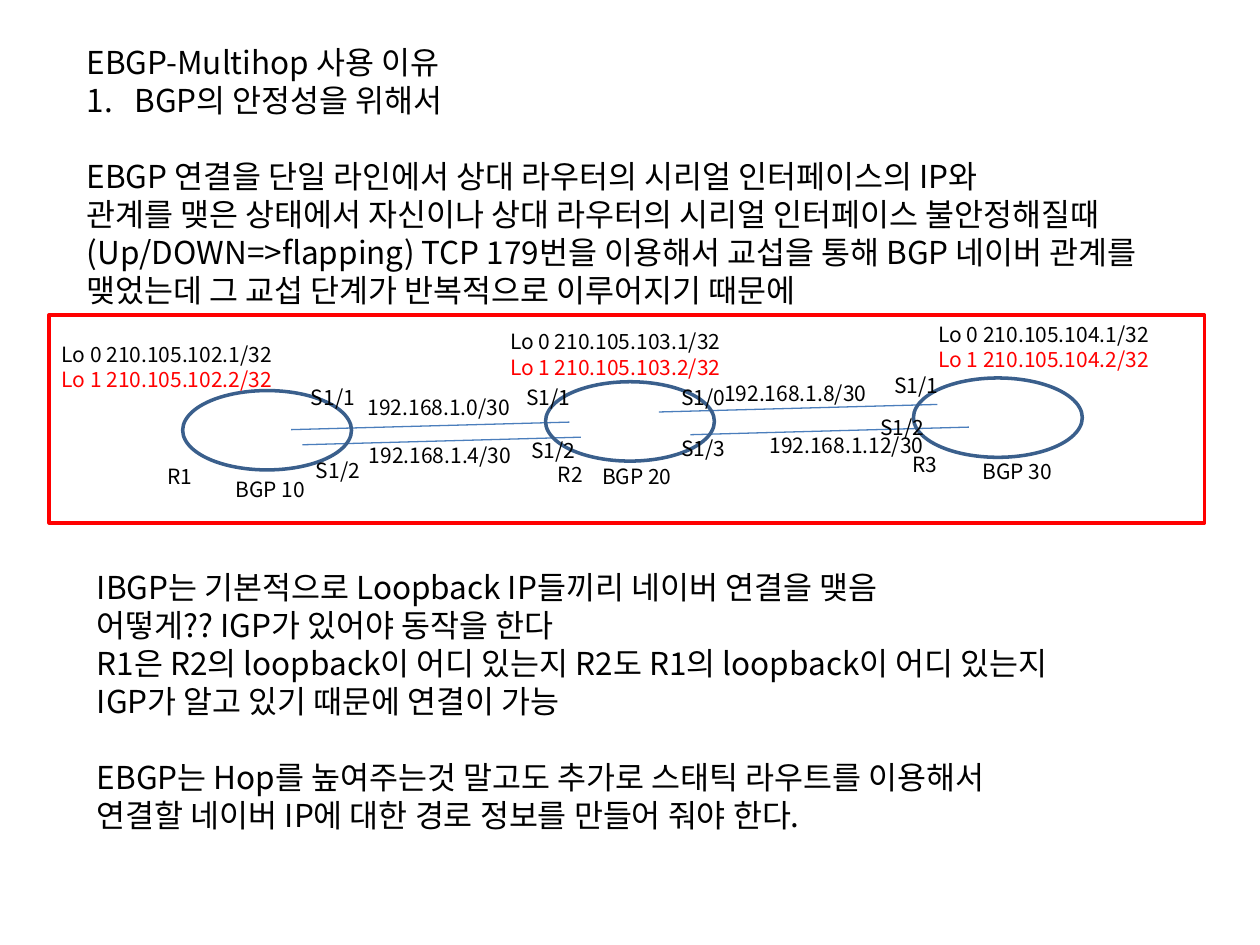
"""Build a slide on why EBGP multihop is used, with a three-router diagram."""
from lxml import etree
from pptx import Presentation
from pptx.dml.color import RGBColor
from pptx.enum.shapes import MSO_CONNECTOR, MSO_SHAPE
from pptx.enum.text import MSO_AUTO_SIZE
from pptx.oxml.ns import qn
from pptx.util import Inches, Pt

STRAIGHT = MSO_CONNECTOR.STRAIGHT
OVAL, RECTANGLE = MSO_SHAPE.OVAL, MSO_SHAPE.RECTANGLE
GROW = MSO_AUTO_SIZE.SHAPE_TO_FIT_TEXT

THEME = {
    "font": "Noto Sans CJK KR", "body": 18, "label": 12, "leading": 1.206,
    "text": "000000", "accent": "FF0000", "router": "3A5F8C", "link": "4B7EBC",
    "outline": 2, "link_width": 0.75,
}

REASON = [
    ["EBGP-Multihop 사용 이유", "BGP의 안정성을 위해서"],
    ["EBGP 연결을 단일 라인에서 상대 라우터의 시리얼 인터페이스의 IP와",
     "관계를 맺은 상태에서 자신이나 상대 라우터의 시리얼 인터페이스 불안정해질때"
     "(Up/DOWN=>flapping) TCP 179번을 이용해서 교섭을 통해 BGP 네이버 관계를 "
     "맺었는데 그 교섭 단계가 반복적으로 이루어지기 때문에"],
]
NEIGHBORS = [
    ["IBGP는 기본적으로 Loopback IP들끼리 네이버 연결을 맺음",
     "어떻게?? IGP가 있어야 동작을 한다",
     "R1은 R2의 loopback이 어디 있는지 R2도 R1의 loopback이 어디 있는지",
     "IGP가 알고 있기 때문에 연결이 가능"],
    ["EBGP는 Hop를 높여주는것 말고도 추가로 스태틱 라우트를 이용해서",
     "연결할 네이버 IP에 대한 경로 정보를 만들어 줘야 한다."],
]
ROUTERS = [
    {"oval": (1.45, 3.1), "name": ("R1", 1.23, 3.63), "system": ("BGP 10", 1.77, 3.73),
     "loopback": ("210.105.102", 0.39, 2.66)},
    {"oval": (4.33, 3.03), "name": ("R2", 4.33, 3.61), "system": ("BGP 20", 4.68, 3.63),
     "loopback": ("210.105.103", 3.95, 2.56)},
    {"oval": (7.25, 3), "name": ("R3", 7.14, 3.53), "system": ("BGP 30", 7.7, 3.59),
     "loopback": ("210.105.104", 7.35, 2.5)},
]
LINK_STARTS = [(2.4, 3.53), (2.31, 3.41), (5.48, 3.45), (5.23, 3.27)]
LINK_RUN, LINK_RISE = 2.21, 0.06
SUBNETS = [
    ("192.168.1.0/30", 2.75, 3.08), ("192.168.1.4/30", 2.76, 3.46),
    ("192.168.1.8/30", 5.58, 2.97), ("192.168.1.12/30", 5.94, 3.38),
]
SUBNET_INDENT = 0.07
INTERFACES = [
    ("S1/1", 2.37, 3), ("S1/2", 2.41, 3.58), ("S1/1", 4.08, 3), ("S1/2", 4.12, 3.42),
    ("S1/0", 5.31, 3), ("S1/3", 5.31, 3.41), ("S1/1", 7, 2.91), ("S1/2", 6.89, 3.24),
]


def number(paragraph):
    properties = paragraph._p.get_or_add_pPr()
    properties.set("marL", str(Inches(0.38)))
    properties.set("indent", str(-Inches(0.38)))
    etree.SubElement(properties, qn("a:buAutoNum"), type="arabicPeriod")


def write(slide, groups, left, top, width=1.1, height=0.3, size=THEME["label"],
          colors=(THEME["text"],), numbered=None):
    box = slide.shapes.add_textbox(Inches(left), Inches(top), Inches(width), Inches(height))
    frame = box.text_frame
    frame.word_wrap = True
    frame.auto_size = GROW
    leading = Pt(round(size * THEME["leading"], 1))
    lines = [(line, g > 0 and i == 0) for g, group in enumerate(groups)
             for i, line in enumerate(group)]
    for index, (line, gap) in enumerate(lines):
        paragraph = frame.add_paragraph() if index else frame.paragraphs[0]
        if index == numbered:
            number(paragraph)
        paragraph.line_spacing = leading
        if gap:
            paragraph.space_before = leading
        run = paragraph.add_run()
        run.text = line
        run.font.size = Pt(size)
        run.font.name = THEME["font"]
        run.font.color.rgb = RGBColor.from_string(colors[index % len(colors)])
        etree.SubElement(run._r.get_or_add_rPr(), qn("a:ea"), typeface=THEME["font"])


def outline(slide, kind, left, top, width, height, color):
    shape = slide.shapes.add_shape(kind, Inches(left), Inches(top), Inches(width), Inches(height))
    shape.shadow.inherit = False
    shape.fill.background()
    shape.line.color.rgb = RGBColor.from_string(color)
    shape.line.width = Pt(THEME["outline"])


def link(slide, left, top):
    line = slide.shapes.add_connector(STRAIGHT, Inches(left), Inches(top),
                                      Inches(left + LINK_RUN), Inches(top - LINK_RISE))
    line.line.color.rgb = RGBColor.from_string(THEME["link"])
    line.line.width = Pt(THEME["link_width"])
    etree.SubElement(line._element.spPr, qn("a:effectLst"))


def main():
    deck = Presentation()
    deck.slide_width, deck.slide_height = Inches(10), Inches(7.5)
    slide = deck.slides.add_slide(deck.slide_layouts[6])
    for start in LINK_STARTS:
        link(slide, *start)
    for router in ROUTERS:
        outline(slide, OVAL, *router["oval"], 1.34, 0.63, THEME["router"])
        network, left, top = router["loopback"]
        loopbacks = [f"Lo {n} {network}.{n + 1}/32" for n in range(2)]
        write(slide, [loopbacks], left, top, width=2.1, height=0.5,
              colors=(THEME["text"], THEME["accent"]))
        for label, left, top in (router["name"], router["system"]):
            write(slide, [[label]], left, top)
    for subnet, left, top in SUBNETS:
        write(slide, [[subnet]], left + SUBNET_INDENT, top, width=2.1)
    write(slide, REASON, 0.59, 0.29, width=8.66, height=2.52, size=THEME["body"], numbered=1)
    write(slide, NEIGHBORS, 0.67, 4.46, width=8.66, height=2.22, size=THEME["body"])
    for interface, left, top in INTERFACES:
        write(slide, [[interface]], left, top)
    outline(slide, RECTANGLE, 0.39, 2.5, 9.17, 1.65, THEME["accent"])
    deck.save("out.pptx")


if __name__ == "__main__":
    main()
